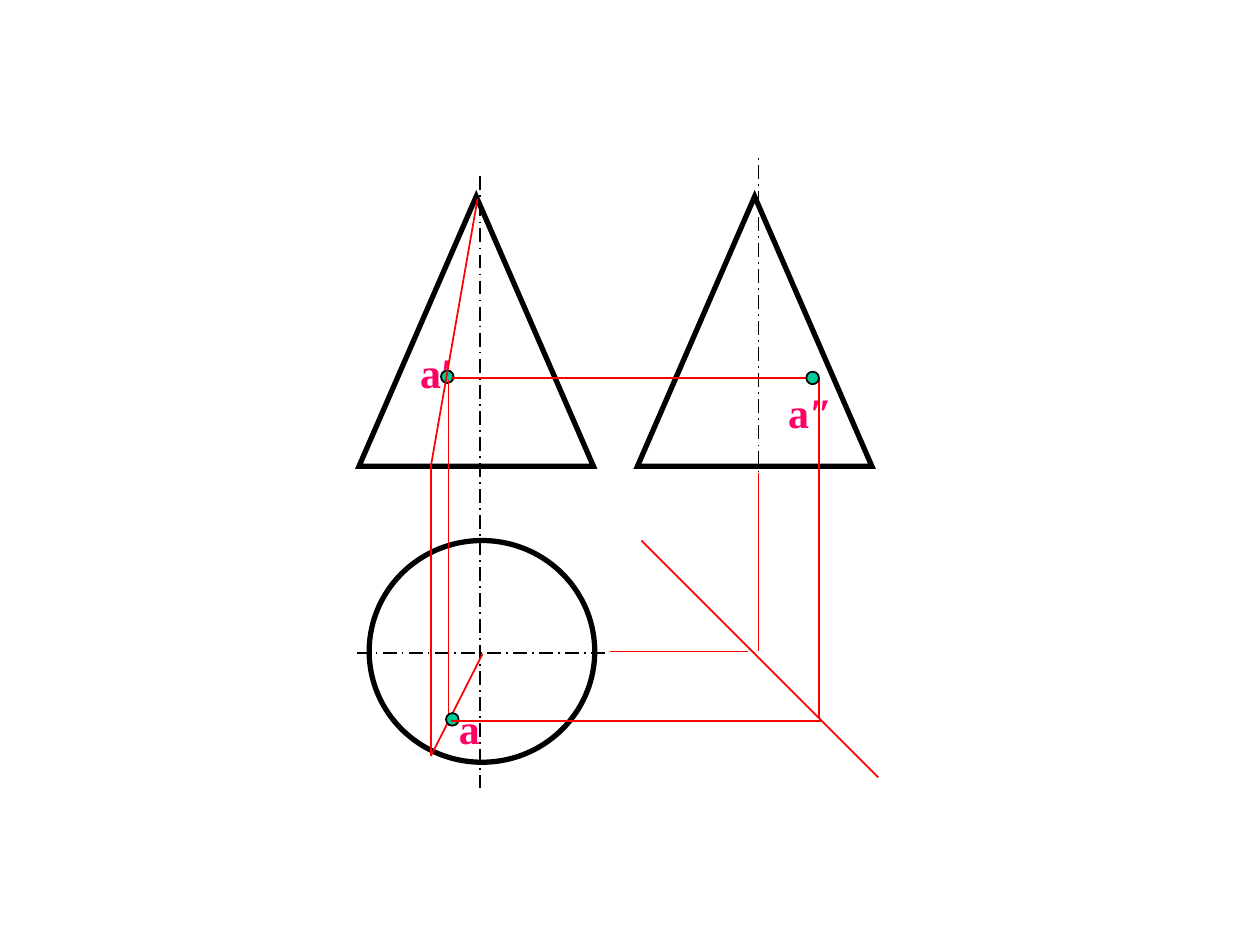
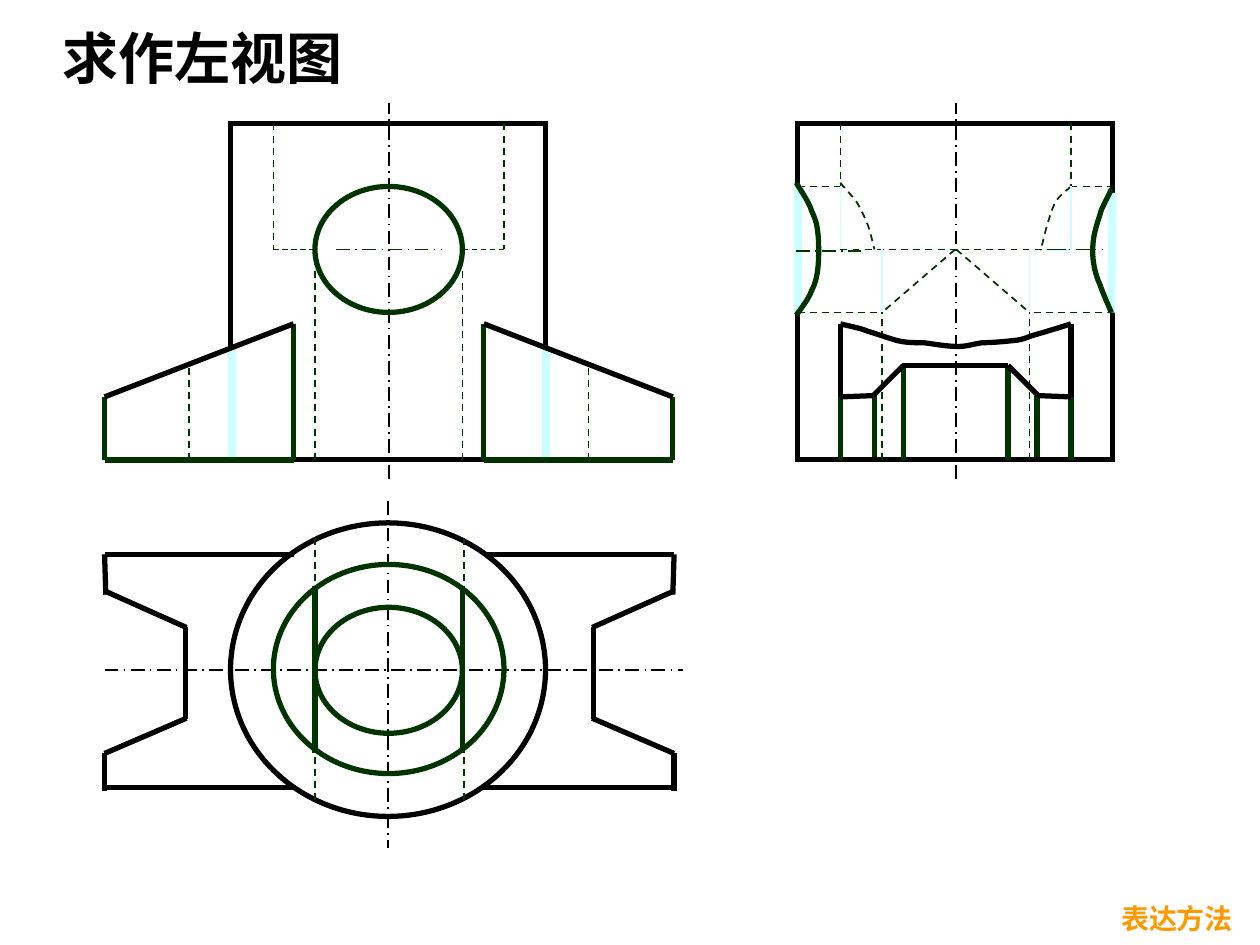
from lxml import etree
from pptx import Presentation
from pptx.dml.color import RGBColor
from pptx.enum.dml import MSO_LINE
from pptx.enum.shapes import MSO_CONNECTOR, MSO_SHAPE
from pptx.enum.text import MSO_ANCHOR, PP_ALIGN
from pptx.oxml.ns import qn
from pptx.util import Inches, Pt

STRAIGHT = MSO_CONNECTOR.STRAIGHT
OVAL = MSO_SHAPE.OVAL
RECTANGLE = MSO_SHAPE.RECTANGLE
TRIANGLE = MSO_SHAPE.ISOSCELES_TRIANGLE
DASH = MSO_LINE.DASH
DASH_DOT = MSO_LINE.LONG_DASH_DOT
CENTER = PP_ALIGN.CENTER
LEFT = PP_ALIGN.LEFT
TOP = MSO_ANCHOR.TOP
MIDDLE = MSO_ANCHOR.MIDDLE

FONT = "Times New Roman"
BLACK, GREEN, RED = "000000", "003300", "FF0000"
PALE, TEAL, PINK, ORANGE = "CCFFFF", "00CC99", "FF0066", "FF9900"

OUTLINE = (BLACK, 3, None)
EDGE = (GREEN, 3, None)
AXIS = (BLACK, 1, DASH_DOT)
BORE_AXIS = (GREEN, 1, DASH_DOT)
HIDDEN = (GREEN, 1, DASH)
THIN_HIDDEN = (GREEN, 0.75, DASH)
REMOVED = (PALE, 4.5, None)
THIN_REMOVED = (PALE, 0.75, None)
PROJECTION = (RED, 1, None)
THIN_PROJECTION = (RED, 0.75, None)
POINT_RIM = (BLACK, 1, None)


def color(value):
    return RGBColor.from_string(value)


def bezier(start, controls, steps=8):
    for i in range(0, len(controls), 3):
        first, second, end = controls[i:i + 3]
        for step in range(1, steps + 1):
            t = step / steps
            weights = ((1 - t) ** 3, 3 * t * (1 - t) ** 2, 3 * t * t * (1 - t), t ** 3)
            knots = (start, first, second, end)
            yield tuple(sum(w * k[axis] for w, k in zip(weights, knots)) for axis in (0, 1))
        start = end


class Drawing:
    def __init__(self):
        self.deck = Presentation()
        self.deck.slide_width = Inches(10)
        self.deck.slide_height = Inches(7.5)
        self.slide = None

    def new_slide(self):
        self.slide = self.deck.slides.add_slide(self.deck.slide_layouts[6])

    def stroke(self, line, pen):
        line.color.rgb = color(pen[0])
        line.width = Pt(pen[1])
        if pen[2] is not None:
            line.dash_style = pen[2]

    def line(self, pen, x1, y1, x2, y2):
        segment = self.slide.shapes.add_connector(
            STRAIGHT, Inches(x1), Inches(y1), Inches(x2), Inches(y2))
        self.stroke(segment.line, pen)
        etree.SubElement(segment._element.spPr, qn("a:effectLst"))

    def lines(self, pen, *segments):
        for segment in segments:
            self.line(pen, *segment)

    def mirrored(self, pen, total, *segments):
        for x1, y1, x2, y2 in segments:
            self.line(pen, x1, y1, x2, y2)
            self.line(pen, total - x1, y1, total - x2, y2)

    def finish(self, shape, pen, fill=None):
        shape.shadow.inherit = False
        if fill:
            shape.fill.solid()
            shape.fill.fore_color.rgb = color(fill)
        else:
            shape.fill.background()
        self.stroke(shape.line, pen)

    def shape(self, kind, pen, x, y, width, height, fill=None):
        figure = self.slide.shapes.add_shape(
            kind, Inches(x), Inches(y), Inches(width), Inches(height))
        self.finish(figure, pen, fill)
        miter = etree.SubElement(figure._element.spPr.find(qn("a:ln")), qn("a:miter"))
        miter.set("lim", "800000")

    def point(self, x, y):
        self.shape(OVAL, POINT_RIM, x, y, 0.1, 0.1, TEAL)

    def curve(self, pen, start, *controls):
        builder = self.slide.shapes.build_freeform(Inches(start[0]), Inches(start[1]))
        builder.add_line_segments(
            [(Inches(x), Inches(y)) for x, y in bezier(start, controls)], close=False)
        self.finish(builder.convert_to_shape(), pen)

    def text(self, content, x, y, width, height, size=24, hue=PINK,
             align=CENTER, anchor=TOP, wrap=True):
        box = self.slide.shapes.add_textbox(
            Inches(x), Inches(y), Inches(width), Inches(height))
        frame = box.text_frame
        frame.word_wrap = wrap
        frame.vertical_anchor = anchor
        paragraph = frame.paragraphs[0]
        paragraph.alignment = align
        run = paragraph.add_run()
        run.text = content
        run.font.name = FONT
        run.font.size = Pt(size)
        run.font.bold = True
        run.font.color.rgb = color(hue)


def cone_slide(d):
    d.new_slide()
    for cone_left in (2.85, 5.06):
        d.shape(TRIANGLE, OUTLINE, cone_left, 1.56, 1.86, 2.14)
    d.shape(OVAL, OUTLINE, 2.93, 4.29, 1.79, 1.76)
    d.lines(AXIS, (3.81, 1.4, 3.81, 6.25), (6.02, 3.9, 6.02, 1.23), (2.83, 5.18, 4.83, 5.18))
    d.point(3.5, 2.94)
    d.text("a″", 6.01, 3.02, 0.84, 0.5)
    d.text("a", 3.43, 5.53, 0.59, 0.5)
    d.text("a′", 3.09, 2.7, 0.75, 0.5)
    d.lines(PROJECTION,
            (3.79, 1.58, 3.42, 3.7), (3.42, 3.7, 3.42, 6),
            (3.83, 5.19, 3.42, 6), (3.56, 3.02, 3.56, 5.76))
    d.point(3.54, 5.66)
    d.lines(PROJECTION,
            (5.09, 4.29, 6.97, 6.17), (3.58, 5.72, 6.52, 5.72),
            (6.5, 5.7, 6.5, 3), (3.58, 3, 6.5, 3))
    d.point(6.4, 2.95)
    d.lines(THIN_PROJECTION, (4.84, 5.17, 5.94, 5.17), (6.02, 5.17, 6.02, 3.75))


def top_view(d):
    total = 6.18
    d.lines(AXIS, (0.83, 5.32, 5.42, 5.32), (3.08, 3.98, 3.08, 6.73))
    d.shape(OVAL, OUTLINE, 1.83, 4.15, 2.5, 2.33)
    d.shape(OVAL, EDGE, 2.17, 4.48, 1.83, 1.66)
    d.shape(OVAL, EDGE, 2.5, 4.82, 1.17, 1)
    d.mirrored(HIDDEN, total, (2.5, 4.27, 2.5, 6.36))
    d.mirrored(EDGE, 6.17, (2.5, 4.65, 2.5, 5.98))
    d.mirrored(OUTLINE, total,
               (2.33, 4.4, 0.83, 4.4), (0.83, 4.4, 0.84, 4.72),
               (0.83, 4.69, 1.48, 4.98), (1.47, 4.98, 1.47, 5.71),
               (1.48, 5.7, 0.83, 5.98), (0.83, 5.98, 0.83, 6.28),
               (0.83, 6.25, 2.35, 6.25))


def front_view(d):
    total = 6.17
    d.line(AXIS, 3.09, 3.8, 3.09, 0.82)
    d.shape(RECTANGLE, OUTLINE, 1.83, 0.98, 2.5, 2.67)
    d.mirrored(HIDDEN, total, (2.5, 3.65, 2.5, 1.98), (2.17, 0.98, 2.17, 1.98))
    d.mirrored(THIN_HIDDEN, total, (2.17, 1.98, 2.5, 1.98))
    d.line(BORE_AXIS, 2.67, 1.98, 3.5, 1.98)
    d.shape(OVAL, EDGE, 2.5, 1.48, 1.17, 1)
    d.mirrored(EDGE, total, (0.83, 3.15, 0.83, 3.65), (2.33, 3.65, 2.33, 2.57))
    d.mirrored(REMOVED, total, (1.84, 2.77, 1.84, 3.65))
    d.mirrored(OUTLINE, total, (2.33, 2.57, 0.83, 3.15))
    d.mirrored(EDGE, total, (2.33, 3.65, 0.83, 3.65))
    d.mirrored(HIDDEN, total, (1.5, 3.65, 1.5, 2.9))


def side_view(d):
    total = 15.17
    d.line(AXIS, 7.59, 3.8, 7.59, 0.82)
    d.shape(RECTANGLE, OUTLINE, 6.33, 0.98, 2.5, 2.67)
    d.mirrored(HIDDEN, total, (7, 3.65, 7, 1.98), (6.67, 0.98, 6.67, 1.98))
    d.line(HIDDEN, 6.67, 1.98, 8.5, 1.98)
    d.mirrored(EDGE, total,
               (6.67, 3.15, 6.67, 3.65), (6.94, 3.63, 6.94, 3.14), (7.17, 2.91, 7.17, 3.65))
    d.line(OUTLINE, 7.16, 2.9, 8, 2.9)
    d.mirrored(OUTLINE, total,
               (6.67, 3.15, 6.93, 3.14), (7.17, 2.9, 6.93, 3.14), (6.67, 3.15, 6.67, 2.57))
    d.curve(OUTLINE, (6.67, 2.57),
            (6.7, 2.58), (6.82, 2.6), (6.89, 2.63), (6.96, 2.65), (7.04, 2.68), (7.11, 2.7),
            (7.18, 2.72), (7.25, 2.72), (7.33, 2.72), (7.41, 2.73), (7.52, 2.75), (7.6, 2.75),
            (7.68, 2.75), (7.72, 2.73), (7.8, 2.72), (7.87, 2.72), (7.99, 2.71), (8.07, 2.7),
            (8.14, 2.69), (8.16, 2.67), (8.24, 2.65), (8.31, 2.63), (8.44, 2.59), (8.5, 2.57))
    d.mirrored(HIDDEN, total,
               (6.33, 1.48, 6.67, 1.48), (6.33, 2.48, 7, 2.48), (7.58, 1.98, 7, 2.48))
    d.lines(REMOVED, (6.33, 1.48, 6.33, 2.48), (8.83, 1.53, 8.82, 2.48))
    d.curve(HIDDEN, (8.5, 1.48),
            (8.48, 1.5), (8.41, 1.55), (8.38, 1.6), (8.35, 1.65), (8.33, 1.73), (8.31, 1.79),
            (8.29, 1.86), (8.27, 1.95), (8.26, 1.99))
    d.mirrored(THIN_REMOVED, total,
               (6.67, 1.48, 6.67, 1.98), (6.67, 1.99, 6.87, 1.99), (7, 1.98, 7, 2.48))
    d.curve(HIDDEN, (6.67, 1.45),
            (6.69, 1.48), (6.75, 1.54), (6.79, 1.59), (6.83, 1.65), (6.86, 1.72), (6.89, 1.79),
            (6.91, 1.85), (6.93, 1.94), (6.94, 1.98))
    d.lines(BORE_AXIS, (8.33, 1.98, 8.75, 1.98), (6.32, 1.99, 6.83, 1.99))
    d.curve(EDGE, (6.32, 1.45),
            (6.34, 1.49), (6.42, 1.6), (6.44, 1.67), (6.47, 1.74), (6.48, 1.76), (6.49, 1.84),
            (6.5, 1.92), (6.5, 2.06), (6.49, 2.14), (6.48, 2.21), (6.47, 2.25), (6.44, 2.31),
            (6.42, 2.37), (6.35, 2.46), (6.32, 2.5))
    d.curve(EDGE, (8.82, 1.5),
            (8.81, 1.53), (8.77, 1.6), (8.74, 1.67), (8.72, 1.74), (8.69, 1.82), (8.68, 1.89),
            (8.67, 1.96), (8.67, 2.03), (8.68, 2.09), (8.69, 2.15), (8.7, 2.19), (8.73, 2.26),
            (8.75, 2.32), (8.8, 2.43), (8.82, 2.48))


def views_slide(d):
    d.new_slide()
    top_view(d)
    front_view(d)
    side_view(d)
    d.text("求作左视图", 0.4, 0.13, 2.5, 0.64, size=32, hue=BLACK,
           align=LEFT, anchor=MIDDLE, wrap=False)
    d.text("表达方法", 8.8, 7.11, 1.15, 0.37, size=16, hue=ORANGE, align=LEFT, wrap=False)


def main():
    drawing = Drawing()
    cone_slide(drawing)
    views_slide(drawing)
    drawing.deck.save("out.pptx")


if __name__ == "__main__":
    main()
